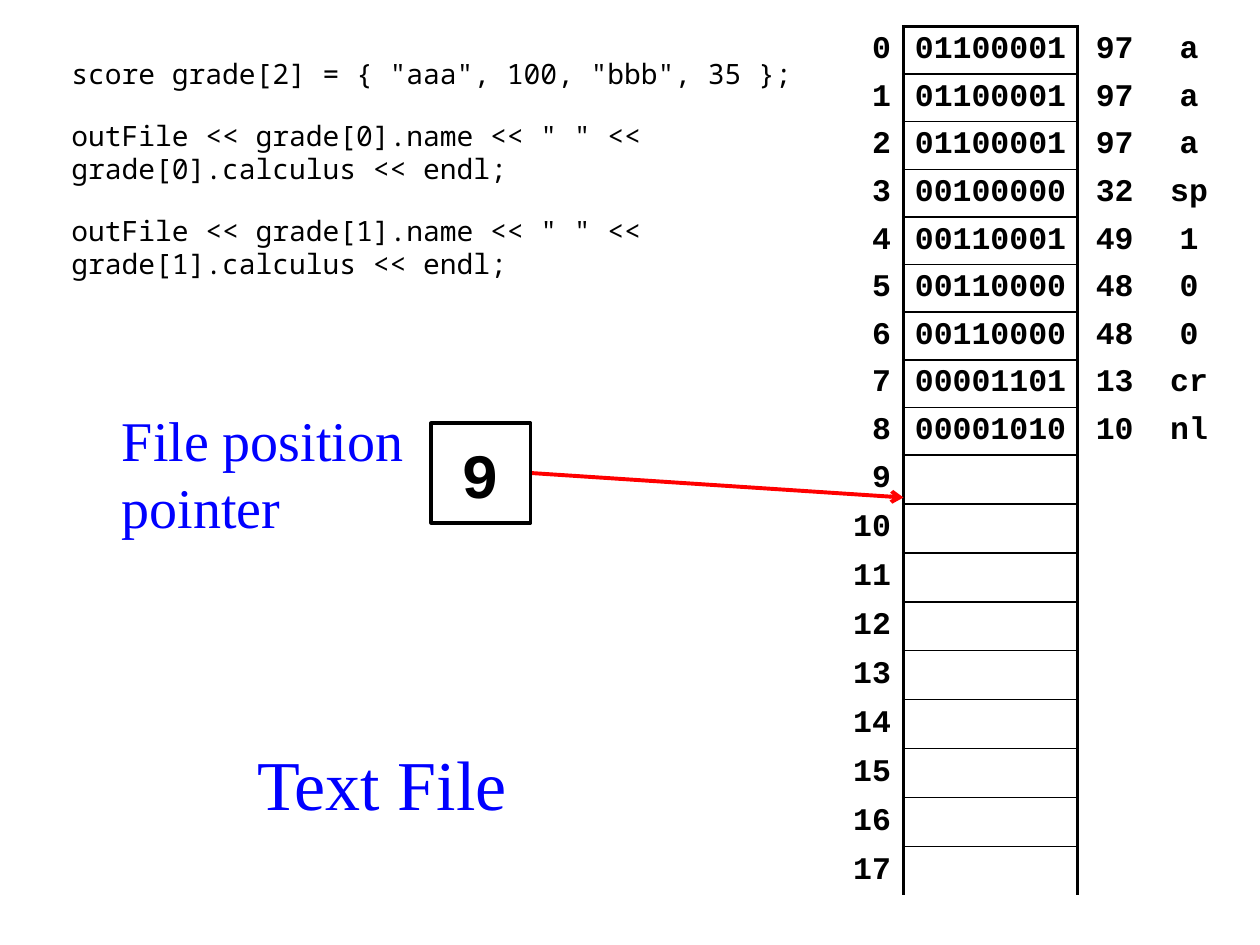
import pptx
import pptx.util
import pptx.dml.color
import pptx.enum.shapes
import pptx.enum.text
import pptx.oxml

Pt = pptx.util.Pt
ALIGN = pptx.enum.text.PP_ALIGN
MIDDLE = pptx.enum.text.MSO_ANCHOR.MIDDLE
TOP = pptx.enum.text.MSO_ANCHOR.TOP
NAMESPACE = 'xmlns:a="http://schemas.openxmlformats.org/drawingml/2006/main"'

COLORS = {"black": "000000", "blue": "0000FF", "red": "FF0000"}
STYLES = {
    "byte": ("Courier New", 18, "black", True),
    "position": ("Courier New", 36, "black", True),
    "code": ("Noto Sans Mono", 16, "black", False),
    "label": ("Times New Roman", 32, "blue", False),
    "title": ("Times New Roman", 40, "blue", False),
}

CODE = [
    'score grade[2] = { "aaa", 100, "bbb", 35 };',
    'outFile << grade[0].name << " " << grade[0].calculus << endl;',
    'outFile << grade[1].name << " " << grade[1].calculus << endl;',
]
FILE_BYTES = [
    (97, "a"), (97, "a"), (97, "a"), (32, "sp"), (49, "1"),
    (48, "0"), (48, "0"), (13, "cr"), (10, "nl"),
]
ROW_COUNT = 18
POSITION = len(FILE_BYTES)

TABLE_LEFT, TABLE_TOP, ROW_HEIGHT = 473.8, 15.1, 27.23
COLUMN_WIDTHS = [42.5, 99.4, 42.5, 42.5]
BOX_LEFT, BOX_TOP, BOX_SIZE = 246.4, 241.9, 56.8
THICK, THIN = 2.25, 1


def color(name):
    return pptx.dml.color.RGBColor.from_string(COLORS[name])


def write(frame, lines, style, align, gap=0):
    font_name, size, color_name, bold = STYLES[style]
    for index, line in enumerate(lines):
        paragraph = frame.add_paragraph() if index else frame.paragraphs[0]
        paragraph.alignment = align
        if index and gap:
            paragraph.space_before = Pt(gap)
        run = paragraph.add_run()
        run.text = line
        run.font.name = font_name
        run.font.size = Pt(size)
        run.font.bold = bold
        run.font.color.rgb = color(color_name)


def add_text(slide, place, lines, style, align=ALIGN.LEFT, anchor=MIDDLE, gap=0):
    frame = slide.shapes.add_textbox(*map(Pt, place)).text_frame
    frame.word_wrap = True
    frame.vertical_anchor = anchor
    write(frame, lines, style, align, gap)


def set_borders(cell, widths):
    properties = cell._tc.get_or_add_tcPr()
    for index, side in enumerate("LRTB"):
        width = widths.get(side, 0)
        if width:
            fill = f'<a:solidFill><a:srgbClr val="{COLORS["black"]}"/></a:solidFill>'
        else:
            fill = "<a:noFill/>"
        border = pptx.oxml.parse_xml(
            f'<a:ln{side} {NAMESPACE} w="{int(Pt(width))}">{fill}</a:ln{side}>'
        )
        properties.insert(index, border)


def add_memory(slide):
    size = (sum(COLUMN_WIDTHS), ROW_HEIGHT * ROW_COUNT)
    table = slide.shapes.add_table(
        ROW_COUNT, len(COLUMN_WIDTHS), *map(Pt, (TABLE_LEFT, TABLE_TOP, *size))
    ).table
    table.first_row = table.horz_banding = False
    for column, width in zip(table.columns, COLUMN_WIDTHS):
        column.width = Pt(width)
    for address, row in enumerate(table.rows):
        row.height = Pt(ROW_HEIGHT)
        texts = [str(address), "", "", ""]
        if address < len(FILE_BYTES):
            value, character = FILE_BYTES[address]
            texts[1:] = [f"{value:08b}", str(value), character]
        byte_borders = {"L": THICK, "R": THICK, "T": THIN if address else THICK}
        if address < ROW_COUNT - 1:
            byte_borders["B"] = THIN
        borders = [{"R": THICK}, byte_borders, {"L": THICK}, {}]
        for index, cell in enumerate(row.cells):
            cell.fill.background()
            cell.vertical_anchor = MIDDLE
            cell.margin_left = cell.margin_right = Pt(5.8 if index == 1 else 7.2)
            cell.margin_top = cell.margin_bottom = Pt(3)
            set_borders(cell, borders[index])
            if texts[index]:
                align = ALIGN.CENTER if index else ALIGN.RIGHT
                write(cell.text_frame, [texts[index]], "byte", align)


def add_pointer(slide):
    start = (BOX_LEFT + BOX_SIZE, BOX_TOP + BOX_SIZE / 2)
    end = (TABLE_LEFT + COLUMN_WIDTHS[0], 284.3)
    arrow = slide.shapes.add_connector(
        pptx.enum.shapes.MSO_CONNECTOR.STRAIGHT, *map(Pt, start + end)
    )
    arrow.line.color.rgb = color("red")
    arrow.line.width = Pt(THICK)
    arrow.line._get_or_add_ln().append(
        pptx.oxml.parse_xml(f'<a:tailEnd {NAMESPACE} type="arrow"/>')
    )
    arrow._element.spPr.append(pptx.oxml.parse_xml(f"<a:effectLst {NAMESPACE}/>"))


def add_position_box(slide):
    box = slide.shapes.add_shape(
        pptx.enum.shapes.MSO_SHAPE.RECTANGLE,
        *map(Pt, (BOX_LEFT, BOX_TOP, BOX_SIZE, BOX_SIZE)),
    )
    box.shadow.inherit = False
    box.fill.background()
    box.line.color.rgb = color("black")
    box.line.width = Pt(THICK)
    box.text_frame.word_wrap = False
    box.text_frame.vertical_anchor = MIDDLE
    write(box.text_frame, [str(POSITION)], "position", ALIGN.CENTER)


def main():
    presentation = pptx.Presentation()
    presentation.slide_width, presentation.slide_height = Pt(720), Pt(540)
    slide = presentation.slides.add_slide(presentation.slide_layouts[6])
    add_memory(slide)
    add_text(slide, (133.2, 411.8, 170, 70.6), ["Text File"], "title", ALIGN.CENTER)
    add_pointer(slide)
    add_text(slide, (33.8, 28.8, 453.6, 141.8), CODE, "code", anchor=TOP, gap=16)
    add_position_box(slide)
    add_text(slide, (62.6, 227.5, 184.3, 85), ["File position", "pointer"], "label")
    presentation.save("out.pptx")


if __name__ == "__main__":
    main()
